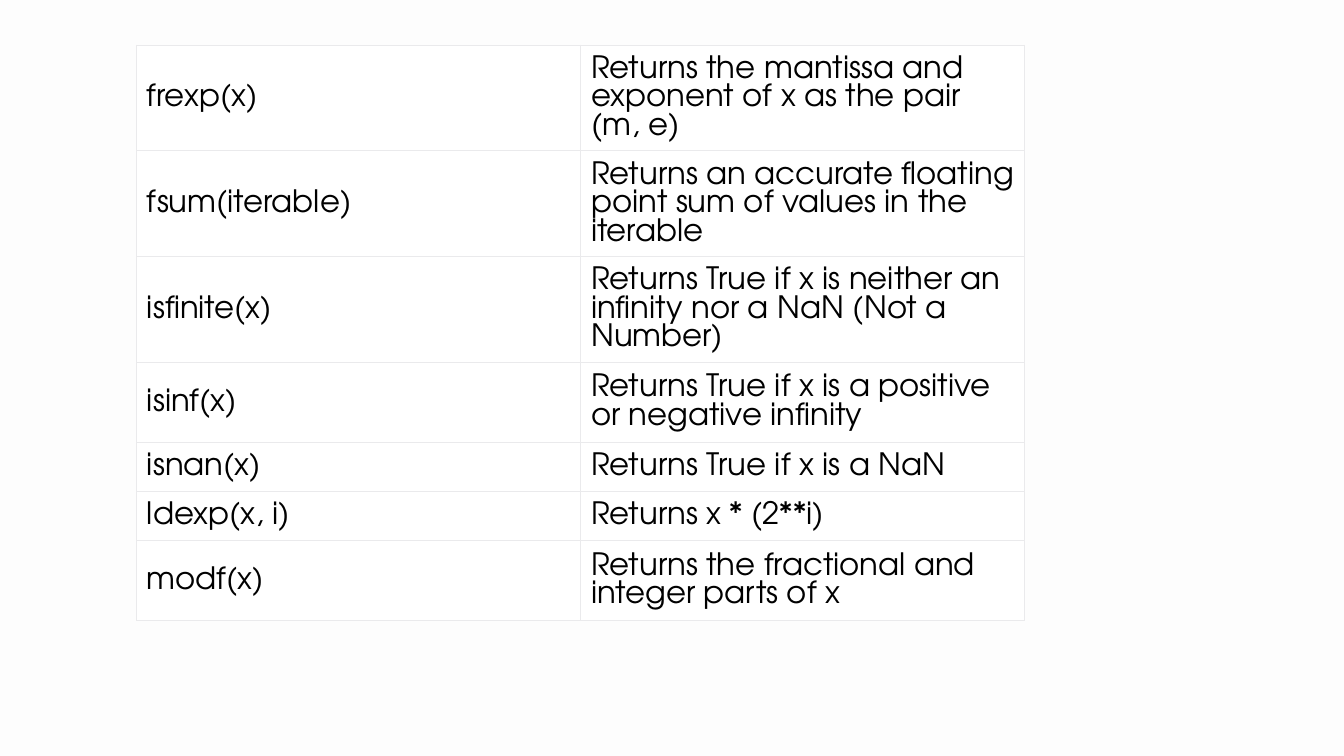
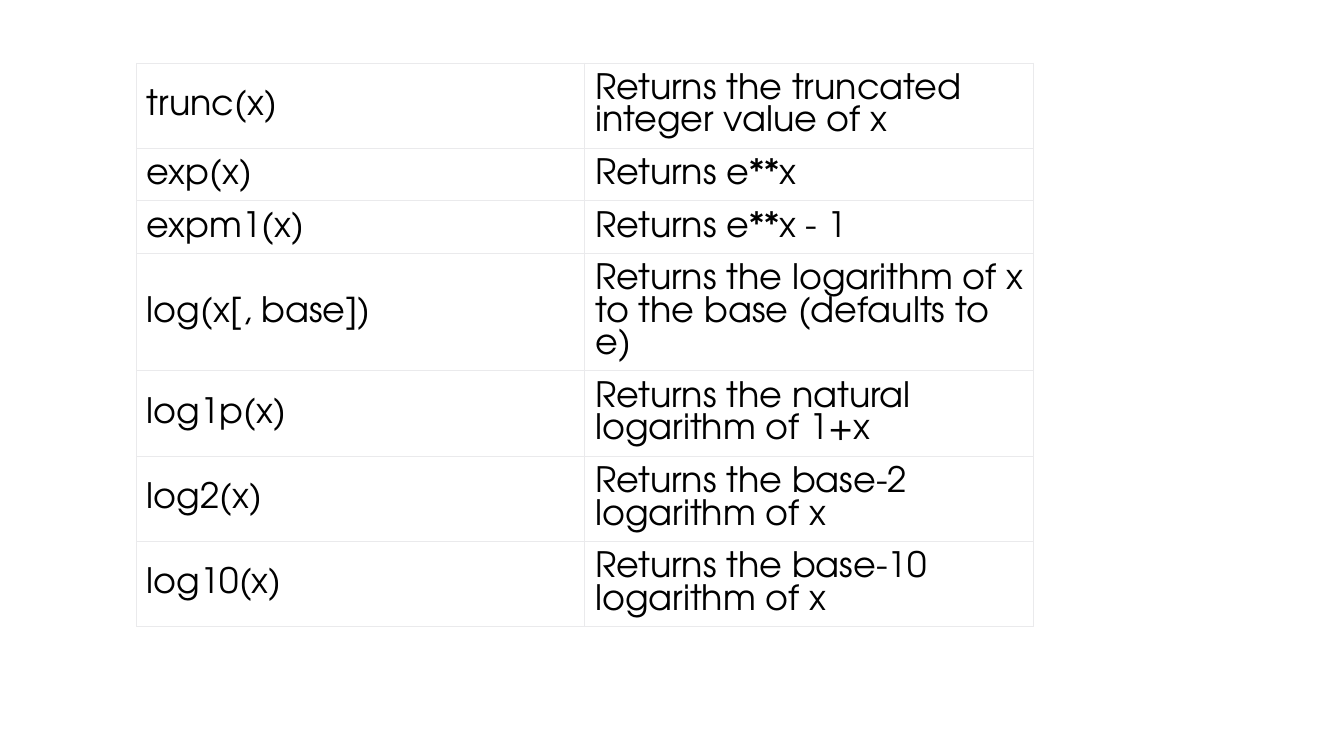
"""Build two slides of tables that describe functions of the math module."""
import dataclasses

import lxml.etree
import pptx
import pptx.dml.color
import pptx.enum.text
import pptx.oxml.ns
import pptx.util

PX = 9525


@dataclasses.dataclass(frozen=True)
class Theme:
    face: str = "TeX Gyre Adventor"
    ink: str = "000000"
    cell: str = "FFFFFF"
    rule: str = "EAEAEC"
    pale: str = "FDFDFD"
    white: str = "FFFFFF"
    small: int = 22
    large: int = 25
    line: int = 1


def px(count):
    return pptx.util.Emu(count * PX)


def tint(code):
    return pptx.dml.color.RGBColor.from_string(code)


def apply(target, values):
    for name, value in values.items():
        setattr(target, name, value)


class Deck:
    def __init__(self, theme):
        self.theme = theme
        self.show = pptx.Presentation()
        apply(self.show, {"slide_width": px(1280), "slide_height": px(720)})
        self.slide = None

    def page(self, back):
        self.slide = self.show.slides.add_slide(self.show.slide_layouts[6])
        self.paint(self.slide.background.fill, back)

    def paint(self, fill, code):
        fill.solid()
        fill.fore_color.rgb = tint(code)

    def border(self, cell):
        props = cell._tc.get_or_add_tcPr()
        tag = pptx.oxml.ns.qn
        for side in ("lnL", "lnR", "lnT", "lnB"):
            line = lxml.etree.SubElement(props, tag("a:" + side), w=str(px(self.theme.line)))
            fill = lxml.etree.SubElement(line, tag("a:solidFill"))
            lxml.etree.SubElement(fill, tag("a:srgbClr"), val=self.theme.rule)

    def label(self, cell, text, size):
        self.border(cell)
        self.paint(cell.fill, self.theme.cell)
        apply(cell, {
            "text": text,
            "vertical_anchor": pptx.enum.text.MSO_ANCHOR.MIDDLE,
            "margin_left": px(10),
            "margin_top": px(10),
            "margin_right": px(8),
            "margin_bottom": px(9),
        })
        font = cell.text_frame.paragraphs[0].runs[0].font
        apply(font, {"name": self.theme.face, "size": pptx.util.Pt(size)})
        font.color.rgb = tint(self.theme.ink)

    def table(self, left, top, wide, size, rows):
        total = sum(high for high, *words in rows)
        frame = self.slide.shapes.add_table(
            len(rows), 2, px(left), px(top), px(2 * wide), px(total))
        grid = frame.table
        apply(grid, {"first_row": False, "horz_banding": False})
        for row, (high, *words) in zip(grid.rows, rows):
            row.height = px(high)
            for cell, text in zip(row.cells, words):
                self.label(cell, text, size)


FLOATS = [
    (100, "frexp(x)", "Returns the mantissa and exponent of x as the pair (m, e)"),
    (100, "fsum(iterable)", "Returns an accurate floating point sum of values in the iterable"),
    (100, "isfinite(x)", "Returns True if x is neither an infinity nor a NaN (Not a Number)"),
    (76, "isinf(x)", "Returns True if x is a positive or negative infinity"),
    (47, "isnan(x)", "Returns True if x is a NaN"),
    (47, "ldexp(x, i)", "Returns x * (2**i)"),
    (76, "modf(x)", "Returns the fractional and integer parts of x"),
]
POWERS = [
    (81, "trunc(x)", "Returns the truncated integer value of x"),
    (50, "exp(x)", "Returns e**x"),
    (50, "expm1(x)", "Returns e**x - 1"),
    (111, "log(x[, base])", "Returns the logarithm of x to the base (defaults to e)"),
    (81, "log1p(x)", "Returns the natural logarithm of 1+x"),
    (81, "log2(x)", "Returns the base-2 logarithm of x"),
    (81, "log10(x)", "Returns the base-10 logarithm of x"),
]


def main():
    theme = Theme()
    deck = Deck(theme)
    deck.page(theme.pale)
    deck.table(130, 43, 423, theme.small, FLOATS)
    deck.page(theme.white)
    deck.table(130, 60, 427, theme.large, POWERS)
    deck.show.save("out.pptx")


if __name__ == "__main__":
    main()
